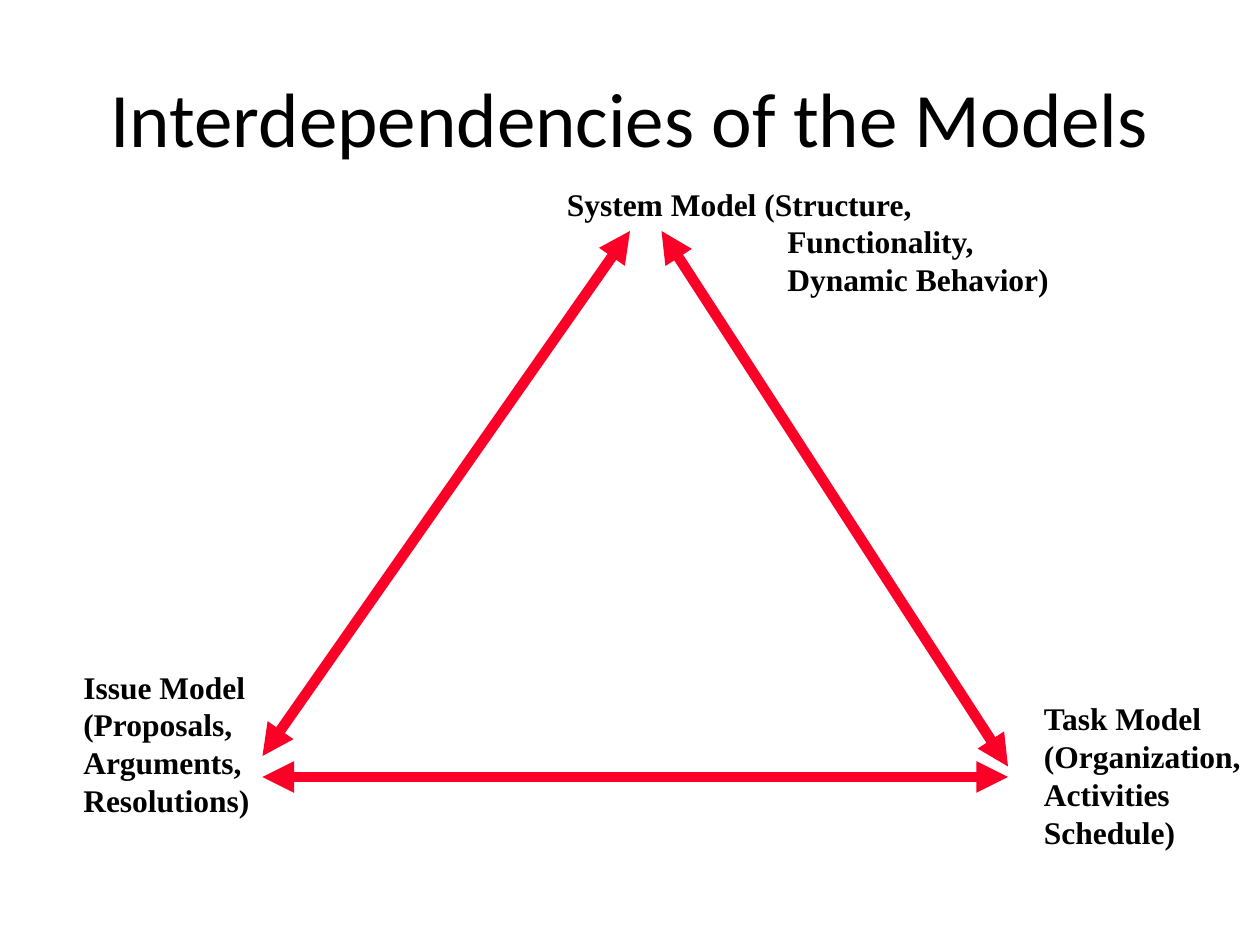
from lxml.etree import SubElement
from pptx import Presentation
from pptx.dml.color import RGBColor as Rgb
from pptx.enum.shapes import MSO_CONNECTOR as Link
from pptx.enum.text import MSO_ANCHOR as Anchor, PP_ALIGN as Align
from pptx.oxml.ns import qn
from pptx.util import Inches, Pt

CELL = Inches(1) / 12  # the slide is a grid of 120 columns by 90 rows
COLORS = {"text": "000000", "arrow": "FC0128"}
INDENT = 21

MODELS = [
    ((52.8, 17, 48.25, 12), [
        ("System Model (Structure,", 0),
        ("Functionality,", INDENT),
        ("Dynamic Behavior)", INDENT)]),
    ((6.75, 63, 18.25, 15.6), [
        ("Issue Model", 0), ("(Proposals,", 0),
        ("Arguments,", 0), ("Resolutions)", 0)]),
    ((98.25, 66, 21.1, 15.6), [
        ("Task Model", 0), ("(Organization,", 0),
        ("Activities", 0), ("Schedule)", 0)]),
]
ARROWS = [
    ((60, 22), (25, 72)),
    ((25, 74), (96, 74)),
    ((96, 73), (63, 22)),
]


def grid(*cells):
    return [round(n * CELL) for n in cells]


def add_run(para, text, size, face, bold=False):
    run = para.add_run()
    run.text = text
    font = run.font
    font.size, font.name, font.bold = Pt(size), face, bold
    font.color.rgb = Rgb.from_string(COLORS["text"])


def set_title(slide, text):
    title = slide.shapes.title
    title.left, title.top, title.width, title.height = grid(6, 3.6, 108, 15)
    frame = title.text_frame
    frame.vertical_anchor = Anchor.MIDDLE
    para = frame.paragraphs[0]
    para.alignment = Align.CENTER
    add_run(para, text, 44, "Calibri")


def add_model(slide, area, lines):
    frame = slide.shapes.add_textbox(*grid(*area)).text_frame
    frame.word_wrap = True
    frame.margin_right = Inches(0.03)
    for i, (text, indent) in enumerate(lines):
        para = frame.add_paragraph() if i else frame.paragraphs[0]
        if indent:
            para._p.get_or_add_pPr().set("marL", str(grid(indent)[0]))
        add_run(para, text, 18, "Times New Roman", True)


def add_arrow(slide, start, end):
    """Draw a thick line with a head at both ends."""
    arrow = slide.shapes.add_connector(Link.STRAIGHT, *grid(*start, *end))
    arrow.line.width = Pt(6)
    arrow.line.color.rgb = Rgb.from_string(COLORS["arrow"])
    for tag in ("a:headEnd", "a:tailEnd"):
        SubElement(arrow.line._get_or_add_ln(), qn(tag), type="triangle")
    SubElement(arrow._element.spPr, qn("a:effectLst"))


def main():
    deck = Presentation()
    deck.slide_width, deck.slide_height = grid(120, 90)
    slide = deck.slides.add_slide(deck.slide_layouts[5])
    set_title(slide, "Interdependencies of the Models")
    for area, lines in MODELS:
        add_model(slide, area, lines)
    for start, end in ARROWS:
        add_arrow(slide, start, end)
    deck.save("out.pptx")


if __name__ == "__main__":
    main()
